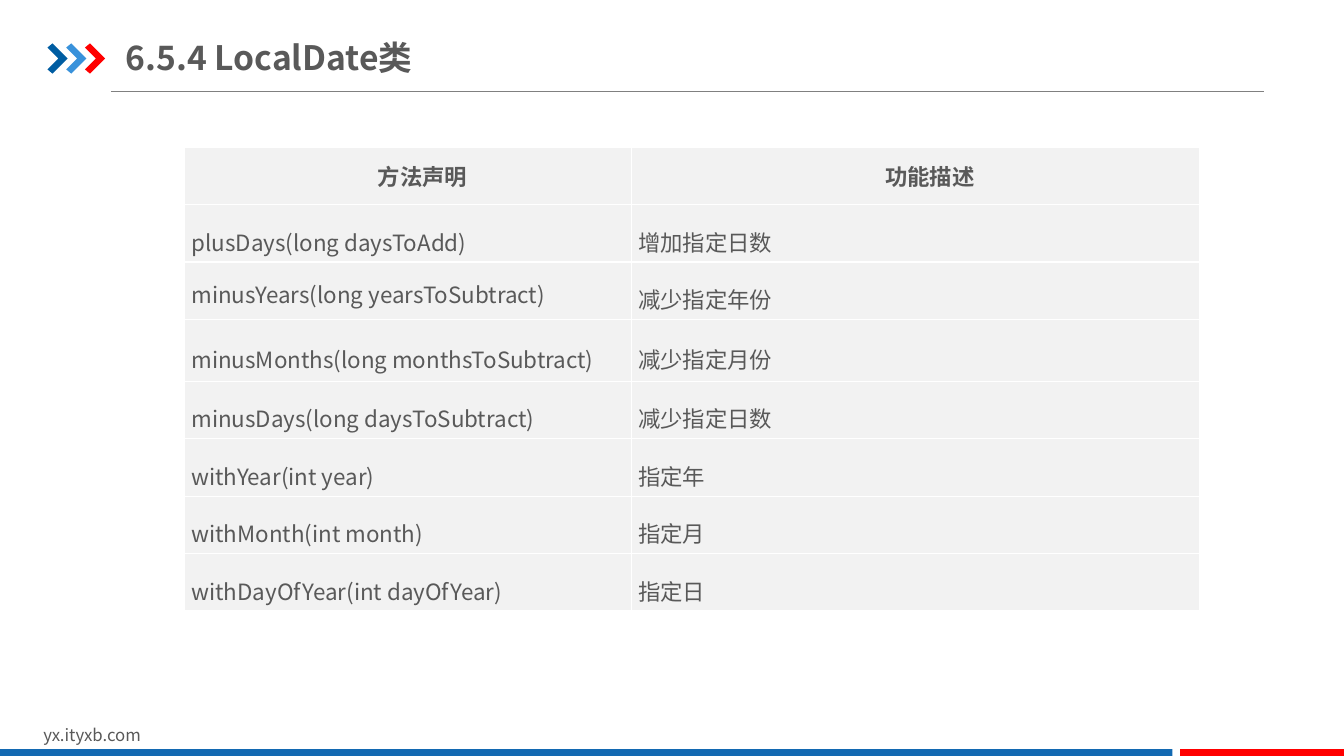
from lxml.etree import SubElement
from pptx import Presentation
from pptx.dml.color import RGBColor
from pptx.enum.shapes import MSO_CONNECTOR, MSO_SHAPE
from pptx.enum.text import MSO_ANCHOR, PP_ALIGN
from pptx.oxml.ns import qn
from pptx.util import Pt

FONT = "Noto Sans CJK SC"
GREY = "595959"
RED = "FF0000"
METHODS = [
    ("方法声明", "功能描述"),
    ("plusDays(long daysToAdd)", "增加指定日数"),
    ("minusYears(long yearsToSubtract)", "减少指定年份"),
    ("minusMonths(long monthsToSubtract)", "减少指定月份"),
    ("minusDays(long daysToSubtract)", "减少指定日数"),
    ("withYear(int year)", "指定年"),
    ("withMonth(int month)", "指定月"),
    ("withDayOfYear(int dayOfYear)", "指定日"),
]


def rgb(value):
    return RGBColor.from_string(value)


def write(frame, text, size=16, bold=False, color=GREY, align=PP_ALIGN.LEFT,
          spacing=1.0, indent=0):
    paragraph = frame.paragraphs[0]
    paragraph.alignment = align
    paragraph.line_spacing = spacing
    if indent:
        properties = paragraph._p.get_or_add_pPr()
        properties.set("marL", "0")
        properties.set("indent", str(Pt(indent)))
    run = paragraph.add_run()
    run.text = text
    run.font.size = Pt(size)
    run.font.bold = bold
    run.font.name = FONT
    run.font.color.rgb = rgb(color)
    SubElement(run._r.get_or_add_rPr(), qn("a:ea"), typeface=FONT)


def paint(shape, color):
    shape.shadow.inherit = False
    shape.fill.solid()
    shape.fill.fore_color.rgb = rgb(color)
    shape.line.fill.background()


def text_box(slide, box, text, insets, anchor=MSO_ANCHOR.TOP, **style):
    frame = slide.shapes.add_textbox(*map(Pt, box)).text_frame
    frame.word_wrap = True
    frame.vertical_anchor = anchor
    frame.margin_left = frame.margin_right = Pt(insets[0])
    frame.margin_top = frame.margin_bottom = Pt(insets[1])
    write(frame, text, **style)


def chevrons(slide, left, top, width, height, pitch):
    outline = [(0, 0.14), (0.25, 0), (1, 0.5), (0.25, 1), (0, 0.86), (0.54, 0.5)]
    for index, color in enumerate(("005DA2", "3992DB", RED)):
        points = [(Pt(left + index * pitch + x * width), Pt(top + y * height))
                  for x, y in outline]
        builder = slide.shapes.build_freeform(*points[0], scale=1.0)
        builder.add_line_segments(points[1:], close=True)
        paint(builder.convert_to_shape(), color)


def header(slide, left, top, width, height):
    bottom = top + height
    rule = slide.shapes.add_connector(
        MSO_CONNECTOR.STRAIGHT, Pt(left + 45.3), Pt(bottom), Pt(left + width), Pt(bottom))
    rule.line.color.rgb = rgb("808080")
    rule.line.width = Pt(0.75)
    SubElement(rule._element.spPr, qn("a:effectLst"))
    chevrons(slide, left, top + 10, 14.4, 21.6, 13.4)
    text_box(slide, (left + 56.1, top, 306.7, 39.6), "6.5.4 LocalDate类", (0, 5),
             MSO_ANCHOR.MIDDLE, size=24, bold=True)


def footer(slide, left, top, width, height):
    text_box(slide, (left + 23.8, top, 229, 21.6), "yx.ityxb.com", (7.2, 3.6), size=12)
    blue_width, red_width, bar = 837.4, 117, 6.5
    for x, bar_width, color in ((left, blue_width, "1369B2"),
                                (left + width - red_width, red_width, RED)):
        strip = slide.shapes.add_shape(
            MSO_SHAPE.RECTANGLE, Pt(x), Pt(top + height - bar), Pt(bar_width), Pt(bar))
        paint(strip, color)


def border(cell, color, width):
    properties = cell._tc.get_or_add_tcPr()
    for side in ("a:lnL", "a:lnR", "a:lnT", "a:lnB"):
        line = SubElement(properties, qn(side), w=str(Pt(width)))
        SubElement(SubElement(line, qn("a:solidFill")), qn("a:srgbClr"), val=color)


def method_table(slide, left, top, width, height):
    table = slide.shapes.add_table(
        len(METHODS), 2, Pt(left), Pt(top), Pt(width), Pt(height)).table
    table.first_row = table.horz_banding = False
    declaration_width, row_height, tall_row = 319, 41, 3
    table.columns[0].width = Pt(declaration_width)
    table.columns[1].width = Pt(width - declaration_width)
    for row_index, texts in enumerate(METHODS):
        tall_height = height - row_height * (len(METHODS) - 1)
        table.rows[row_index].height = Pt(
            tall_height if row_index == tall_row else row_height)
        for column, text in enumerate(texts):
            cell = table.cell(row_index, column)
            border(cell, "FFFFFF", 1)
            cell.fill.solid()
            cell.fill.fore_color.rgb = rgb("F2F2F2")
            cell.margin_left = cell.margin_right = Pt(5)
            cell.margin_top = cell.margin_bottom = 0
            top_aligned = text.startswith("minusYears")
            cell.vertical_anchor = MSO_ANCHOR.TOP if top_aligned else MSO_ANCHOR.MIDDLE
            if row_index == 0:
                write(cell.text_frame, text, bold=True, align=PP_ALIGN.CENTER, indent=21)
            else:
                write(cell.text_frame, text, spacing=1.5)


def main():
    deck = Presentation()
    deck.slide_width, deck.slide_height = Pt(960), Pt(540)
    slide = deck.slides.add_slide(deck.slide_layouts[6])
    header(slide, 33.9, 21, 869, 44.5)
    footer(slide, 0, 514, 960, 27.5)
    method_table(slide, 131.8, 105.1, 725, 331.4)
    deck.save("out.pptx")


if __name__ == "__main__":
    main()
